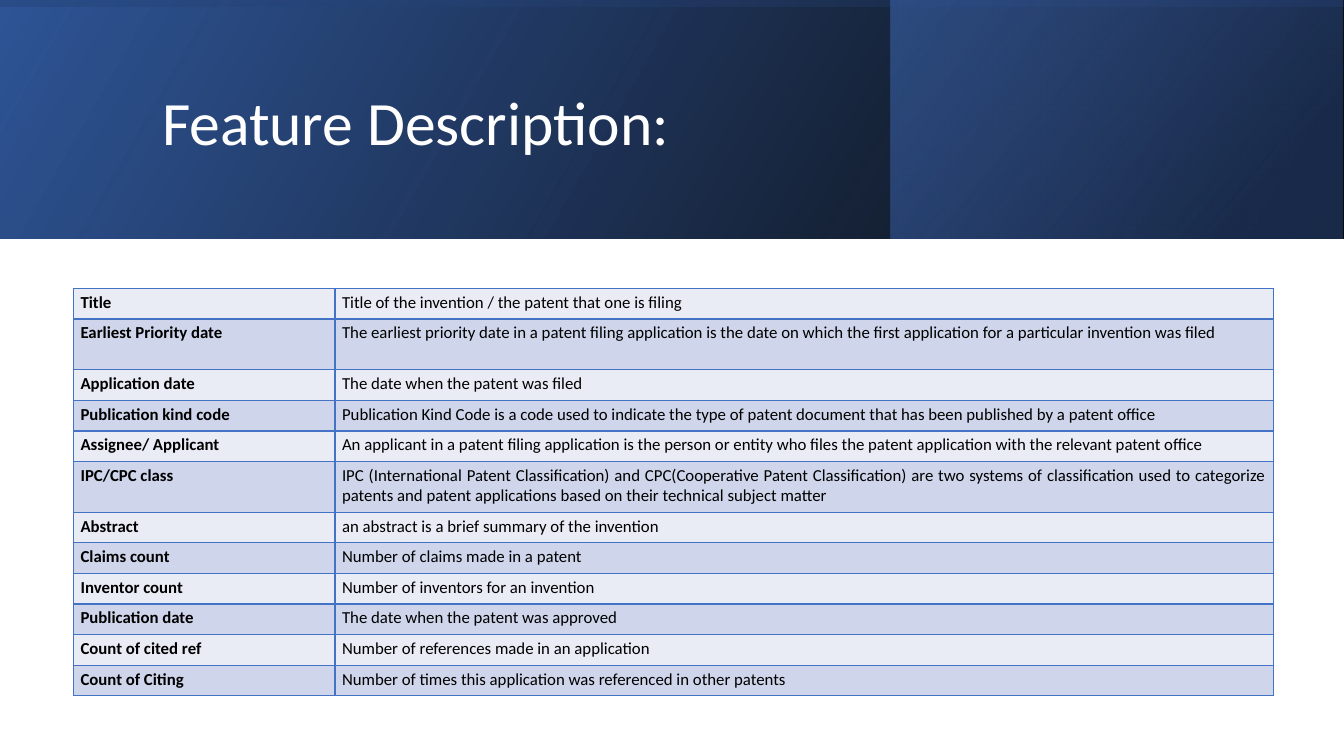
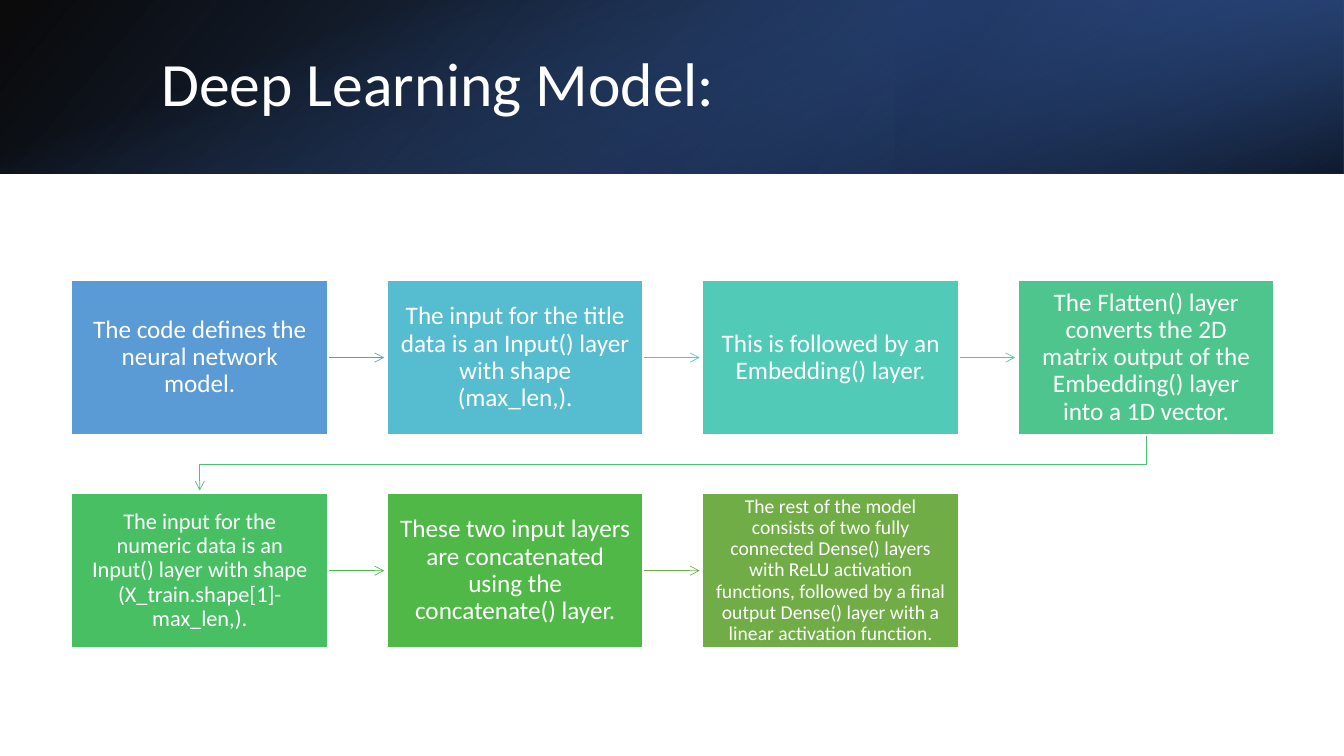
import pptx
import pptx.util
import pptx.dml.color
import pptx.enum.shapes
import pptx.enum.text
import pptx.oxml
import pptx.oxml.ns

Cm = pptx.util.Cm
Pt = pptx.util.Pt
qn = pptx.oxml.ns.qn
RGB = pptx.dml.color.RGBColor.from_string
ALIGN = pptx.enum.text.PP_ALIGN
ANCHOR = pptx.enum.text.MSO_ANCHOR
SHAPE = pptx.enum.shapes.MSO_SHAPE

COLORS = {
    "white": "FFFFFF",
    "black": "000000",
    "navy": "203864",
    "deep blue": "2F5597",
    "blue": "4472C4",
    "light row": "E9EBF5",
    "dark row": "CFD5EA",
}
FONT = "Calibri"
SLIDE_WIDTH, SLIDE_HEIGHT = 33.87, 19.05


def write(text_frame, text, size=18, color="white", bold=False,
          align=ALIGN.LEFT, anchor=ANCHOR.MIDDLE, spacing=None):
    text_frame.word_wrap = True
    text_frame.auto_size = pptx.enum.text.MSO_AUTO_SIZE.NONE
    text_frame.vertical_anchor = anchor
    paragraph = text_frame.paragraphs[0]
    paragraph.alignment = align
    paragraph.line_spacing = spacing
    run = paragraph.add_run()
    run.text = text
    run.font.name = FONT
    run.font.size = Pt(size)
    run.font.bold = bold
    run.font.color.rgb = RGB(COLORS[color])


def add_band(slide, left, width, height, stops, angle, rotation=0, flip=True):
    """Add a gradient band at the top edge; stops are (percent, color, opacity)."""
    top = 0
    if rotation in (90, 270):
        left, top = left + (width - height) / 2, (height - width) / 2
        width, height = height, width
    band = slide.shapes.add_shape(
        SHAPE.RECTANGLE, Cm(left), Cm(top), Cm(width), Cm(height))
    band.rotation = rotation
    band.shadow.inherit = False
    band.line.fill.background()
    band.fill.gradient()
    band.fill.gradient_angle = 360 - angle
    for stop, (percent, color, _) in zip(band.fill.gradient_stops, stops):
        stop.position = percent / 100
        stop.color.rgb = RGB(COLORS[color])
    properties = band._element.spPr
    if flip:
        properties.find(qn("a:xfrm")).set("flipH", "1")
    for color_element, (_, _, opacity) in zip(properties.iter(qn("a:srgbClr")), stops):
        alpha = pptx.oxml.parse_xml(
            f'<a:alpha {pptx.oxml.ns.nsdecls("a")} val="{opacity * 1000}"/>')
        color_element.append(alpha)


presentation = pptx.Presentation()
presentation.slide_width = Cm(SLIDE_WIDTH)
presentation.slide_height = Cm(SLIDE_HEIGHT)

# Headers: gradient bands under a white title
base_stops = [(0, "black", 96), (100, "deep blue", 100)]
headers = [
    {
        "title": "Feature Description:",
        "title box": (3.83, 0.97, 27, 4.37),
        "height": 6.02,
        "base angle": 330,
        "side": dict(left=22.45, width=11.38, angle=320,
                     stops=[(19, "navy", 68), (100, "blue", 48)]),
        "overlay": dict(angle=350, rotation=270,
                        stops=[(23, "deep blue", 16), (99, "black", 45)]),
    },
    {
        "title": "Deep Learning Model:",
        "title box": (3.81, 0.97, 27.89, 2.44),
        "height": 4.37,
        "base angle": 140,
        "side": dict(left=22.58, width=11.29, angle=320, rotation=180,
                     stops=[(19, "navy", 68), (100, "blue", 79)]),
        "overlay": dict(angle=340, rotation=90, flip=False,
                        stops=[(23, "blue", 0), (99, "black", 74)]),
    },
]
slides = []
for header in headers:
    slide = presentation.slides.add_slide(presentation.slide_layouts[5])
    height = header["height"]
    add_band(slide, 0, SLIDE_WIDTH, height, base_stops, header["base angle"])
    add_band(slide, height=height, **header["side"])
    add_band(slide, 0, SLIDE_WIDTH, height, **header["overlay"])
    title = slide.shapes.title
    title.left, title.top, title.width, title.height = map(Cm, header["title box"])
    write(title.text_frame, header["title"], size=44, spacing=0.9)
    slide.shapes._spTree.append(title._element)  # bring the title to the front
    slides.append(slide)
feature_slide, model_slide = slides

# Feature table
features = [
    ("Title", "Title of the invention / the patent that one is filing"),
    ("Earliest Priority date", "The earliest priority date in a patent filing application is "
     "the date on which the first application for a particular invention was filed"),
    ("Application date", "The date when the patent was filed"),
    ("Publication kind code", "Publication Kind Code is a code used to indicate the type of "
     "patent document that has been published by a patent office"),
    ("Assignee/ Applicant", "An applicant in a patent filing application is the person or "
     "entity who files the patent application with the relevant patent office"),
    ("IPC/CPC class", "IPC (International Patent Classification) and CPC(Cooperative Patent "
     "Classification) are two systems of classification used to categorize patents and "
     "patent applications based on their technical subject matter"),
    ("Abstract", "an abstract is a brief summary of the invention"),
    ("Claims count", "Number of claims made in a patent"),
    ("Inventor count", "Number of inventors for an invention"),
    ("Publication date", "The date when the patent was approved"),
    ("Count of cited ref", "Number of references made in an application"),
    ("Count of Citing", "Number of times this application was referenced in other patents"),
]
tall_rows = ("Earliest Priority date", "IPC/CPC class")
column_widths = (6.59, 23.65)
table = feature_slide.shapes.add_table(
    len(features), 2, Cm(1.85), Cm(7.27), Cm(sum(column_widths)), Cm(10.26)).table
table.first_row = False
table.horz_banding = False
for column, width in zip(table.columns, column_widths):
    column.width = Cm(width)
for row_index, feature in enumerate(features):
    row = table.rows[row_index]
    row.height = Cm(1.28 if feature[0] in tall_rows else 0.77)
    for column_index, text in enumerate(feature):
        cell = row.cells[column_index]
        cell.margin_left = cell.margin_right = Cm(0.18)
        cell.margin_top = cell.margin_bottom = Cm(0.1)
        write(cell.text_frame, text, size=12, color="black", bold=column_index == 0,
              align=ALIGN.JUSTIFY, anchor=ANCHOR.TOP)
        cell_properties = cell._tc.get_or_add_tcPr()
        for side in ("lnL", "lnR", "lnT", "lnB"):
            cell_properties.append(pptx.oxml.parse_xml(
                f'<a:{side} {pptx.oxml.ns.nsdecls("a")} w="{Pt(1)}"><a:solidFill>'
                f'<a:srgbClr val="{COLORS["blue"]}"/></a:solidFill></a:{side}>'))
        cell.fill.solid()
        cell.fill.fore_color.rgb = RGB(COLORS["dark row" if row_index % 2 else "light row"])

# Model flow: text, text size, box color, color of the arrow to the next box
steps = [
    ("The code defines the neural network model.", 18, "5B9BD5", "5B9BD5"),
    ("The input for the title data is an Input() layer with shape (max_len,).",
     18, "56BCD0", "55C3CF"),
    ("This is followed by an Embedding() layer.", 18, "52CAB8", "50C8A7"),
    ("The Flatten() layer converts the 2D matrix output of the Embedding() layer "
     "into a 1D vector.", 18, "4DC58D", "4BC174"),
    ("The input for the numeric data is an Input() layer with shape "
     "(X_train.shape[1]-max_len,).", 16, "49BF64", "4ABA46"),
    ("These two input layers are concatenated using the concatenate() layer.",
     18, "50B846", "70AD47"),
    ("The rest of the model consists of two fully connected Dense() layers with ReLU "
     "activation functions, followed by a final output Dense() layer with a linear "
     "activation function.", 14, "70AD47", None),
]
boxes_per_row = 4
box_left, box_top = 1.81, 7.07
box_width, box_height = 6.45, 3.88
column_pitch, row_pitch = 7.95, 5.37
start_gap, end_gap = 0.03, 0.08
arrows = []
for index, (text, size, box_color, arrow_color) in enumerate(steps):
    row_index, column_index = divmod(index, boxes_per_row)
    left = box_left + column_index * column_pitch
    top = box_top + row_index * row_pitch
    right, bottom = left + box_width, top + box_height
    box = model_slide.shapes.add_shape(
        SHAPE.RECTANGLE, Cm(left), Cm(top), Cm(box_width), Cm(box_height))
    box.shadow.inherit = False
    box.fill.solid()
    box.fill.fore_color.rgb = RGB(box_color)
    box.line.color.rgb = RGB(COLORS["white"])
    box.line.width = Pt(1)
    frame = box.text_frame
    frame.margin_left = frame.margin_right = Cm(0.31)
    frame.margin_top = frame.margin_bottom = Cm(0.32)
    write(frame, text, size=size, align=ALIGN.CENTER, spacing=0.9)
    if arrow_color is None:
        continue
    if column_index < boxes_per_row - 1:
        middle = Cm(top + box_height / 2)
        arrow = model_slide.shapes.add_connector(
            pptx.enum.shapes.MSO_CONNECTOR.STRAIGHT, Cm(right + start_gap), middle,
            Cm(left + column_pitch - end_gap), middle)
    else:
        start_x, end_x = Cm(left + box_width / 2), Cm(box_left + box_width / 2)
        next_top = top + row_pitch
        turn = Cm((bottom + next_top) / 2)
        builder = model_slide.shapes.build_freeform(start_x, Cm(bottom + start_gap))
        builder.add_line_segments(
            [(start_x, turn), (end_x, turn), (end_x, Cm(next_top - end_gap))], close=False)
        arrow = builder.convert_to_shape()
        arrow.fill.background()
    arrows.append((arrow, arrow_color))

for arrow, color in arrows:
    arrow.line.color.rgb = RGB(color)
    arrow.line.width = Pt(0.5)
    properties = arrow._element.spPr
    properties.find(qn("a:ln")).append(pptx.oxml.parse_xml(
        f'<a:tailEnd {pptx.oxml.ns.nsdecls("a")} type="arrow"/>'))
    properties.append(pptx.oxml.parse_xml(f'<a:effectLst {pptx.oxml.ns.nsdecls("a")}/>'))

presentation.save("out.pptx")
